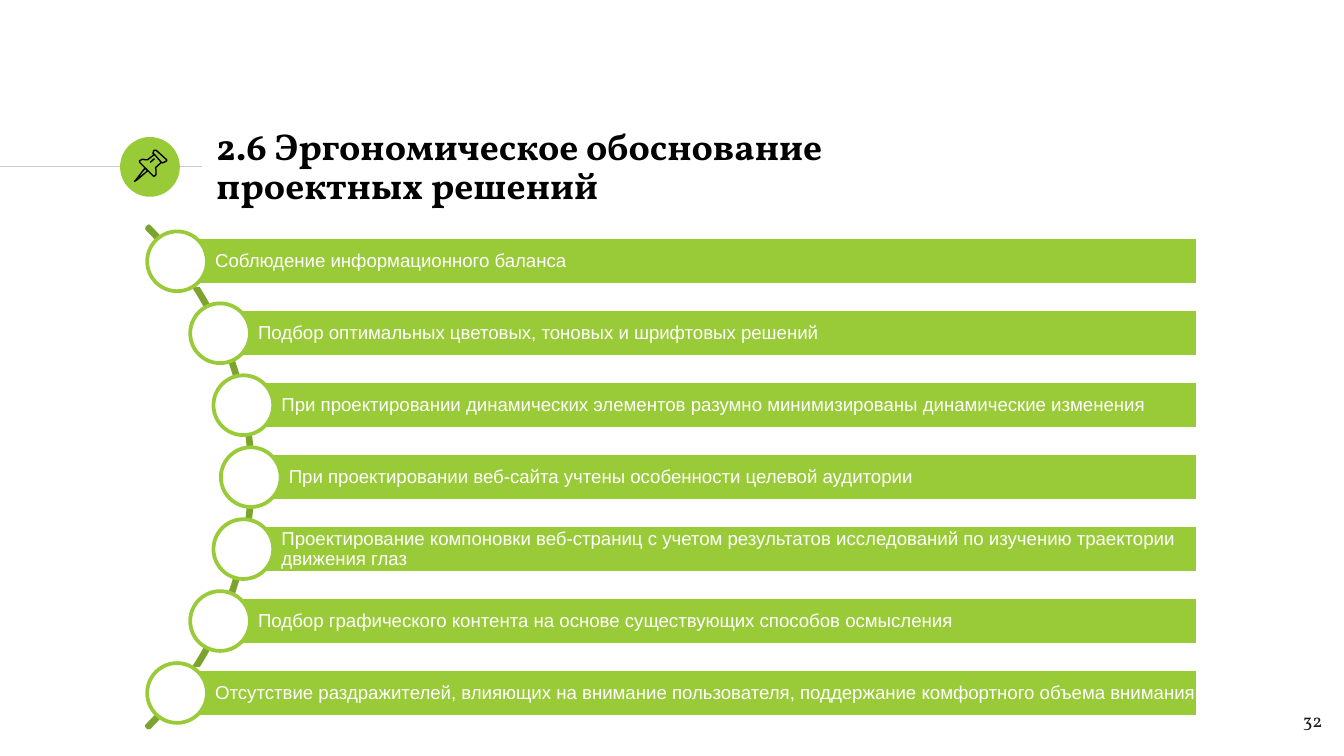
"""Build the slide on the ergonomic grounds for design decisions."""
from math import sqrt

from lxml import etree
from pptx import Presentation
from pptx.dml import color
from pptx.enum import shapes, text
from pptx.oxml import ns
from pptx.util import Cm, Pt

HEADING = "2.6 Эргономическое обоснование\vпроектных решений"
PAGE_NUMBER = "32"
PRINCIPLES = [
    "Соблюдение информационного баланса",
    "Подбор оптимальных цветовых, тоновых и шрифтовых решений",
    "При проектировании динамических элементов разумно минимизированы динамические изменения",
    "При проектировании веб-сайта учтены особенности целевой аудитории",
    "Проектирование компоновки веб-страниц с учетом результатов исследований "
    "по изучению траектории движения глаз",
    "Подбор графического контента на основе существующих способов осмысления",
    "Отсутствие раздражителей, влияющих на внимание пользователя, "
    "поддержание комфортного объема внимания",
]
PUSHPIN = [
    ([(274, 318), (257, 340), (254, 343), (259, 340), (279, 323)], True),
    ([(292, 292), (305, 307), (307, 308), (312, 306), (315, 304), (315, 302),
      (295, 284), (291, 284), (290, 287), (289, 290)], True),
    ([(292, 292), (279, 302), (274, 302), (269, 301), (264, 304), (264, 307),
      (290, 333), (292, 333), (295, 330), (295, 322), (294, 317), (305, 307)], False),
    ([(284, 307), (292, 300)], False),
]

GREEN, DARK_GREEN, WHITE, BLACK = "99CB38", "7BA32D", "FFFFFF", "000000"
ARC_X, ARC_Y, ARC_SIZE = -1.93, 9.02, 13.41
NODE_RADIUS, NODE_SIZE = 6.67, 1.13
PITCH, BAR_HEIGHT, BAR_RIGHT = 1.36, 0.91, 22.64


def rgb(value):
    return color.RGBColor.from_string(value)


def style(shape, fill, line, width=2):
    shape.shadow.inherit = False
    if fill:
        shape.fill.solid()
        shape.fill.fore_color.rgb = rgb(fill)
    else:
        shape.fill.background()
    if line:
        shape.line.color.rgb = rgb(line)
        shape.line.width = Pt(width)
    else:
        shape.line.fill.background()


def add_preset(slide, kind, box, fill, line):
    shape = slide.shapes.add_shape(kind, *map(Cm, box))
    style(shape, fill, line)
    return shape


def write(shape, wording, font, size, ink, insets, anchor, align, bold=False, spacing=None):
    frame = shape.text_frame
    frame.word_wrap = True
    frame.vertical_anchor = anchor
    frame.margin_left, frame.margin_top, frame.margin_right, frame.margin_bottom = map(Cm, insets)
    frame.text = wording
    paragraph = frame.paragraphs[0]
    paragraph.alignment = align
    paragraph.line_spacing = spacing
    paragraph.font.name = font
    paragraph.font.size = Pt(size)
    paragraph.font.bold = bold
    paragraph.font.color.rgb = rgb(ink)


def add_header(slide):
    rule = slide.shapes.add_connector(
        shapes.MSO_CONNECTOR.STRAIGHT, Cm(0), Cm(3.15), Cm(3.81), Cm(3.15))
    rule.line.color.rgb = rgb("CCCCCC")
    rule.line.width = Pt(0.75)
    etree.SubElement(rule._element.spPr, ns.qn("a:effectLst"))
    add_preset(slide, shapes.MSO_SHAPE.OVAL, (2.27, 2.59, 1.13, 1.13), GREEN, None)
    for points, closed in PUSHPIN:
        builder = slide.shapes.build_freeform(*points[0], scale=Cm(0.01))
        builder.add_line_segments(points[1:], close=closed)
        style(builder.convert_to_shape(), None, BLACK, 0.75)
    heading = slide.shapes.add_textbox(Cm(3.84), Cm(2.57), Cm(16.74), Cm(1.22))
    write(heading, HEADING, "Vollkorn", 20, BLACK, [0.25] * 4,
          text.MSO_ANCHOR.MIDDLE, text.PP_ALIGN.LEFT, bold=True, spacing=0.87)


def add_principles(slide):
    arc = add_preset(slide, shapes.MSO_SHAPE.BLOCK_ARC,
                     (ARC_X - ARC_SIZE / 2, ARC_Y - ARC_SIZE / 2, ARC_SIZE, ARC_SIZE),
                     None, DARK_GREEN)
    for index, adjustment in enumerate((189, 27, 0.004)):
        arc.adjustments[index] = adjustment
    for index, principle in enumerate(PRINCIPLES):
        offset = (index - (len(PRINCIPLES) - 1) / 2) * PITCH
        x, y = ARC_X + sqrt(NODE_RADIUS ** 2 - offset ** 2), ARC_Y + offset
        bar = add_preset(slide, shapes.MSO_SHAPE.RECTANGLE,
                         (x, y - BAR_HEIGHT / 2, BAR_RIGHT - x, BAR_HEIGHT), GREEN, WHITE)
        write(bar, principle, "Arial", 10, WHITE, (0.72, 0.07, 0, 0.07),
              text.MSO_ANCHOR.MIDDLE, text.PP_ALIGN.LEFT, spacing=0.9)
        add_preset(slide, shapes.MSO_SHAPE.OVAL,
                   (x - NODE_SIZE / 2, y - NODE_SIZE / 2, NODE_SIZE, NODE_SIZE), WHITE, GREEN)


def main():
    deck = Presentation()
    deck.slide_width, deck.slide_height = Cm(25.4), Cm(14.29)
    slide = deck.slides.add_slide(deck.slide_layouts[6])
    add_header(slide)
    page = slide.shapes.add_textbox(Cm(23.72), Cm(13.18), Cm(1.52), Cm(1.09))
    write(page, PAGE_NUMBER, "Vollkorn", 10, "1D1D1B", [0.25] * 4,
          text.MSO_ANCHOR.TOP, text.PP_ALIGN.RIGHT)
    add_principles(slide)
    deck.save("out.pptx")


if __name__ == "__main__":
    main()
